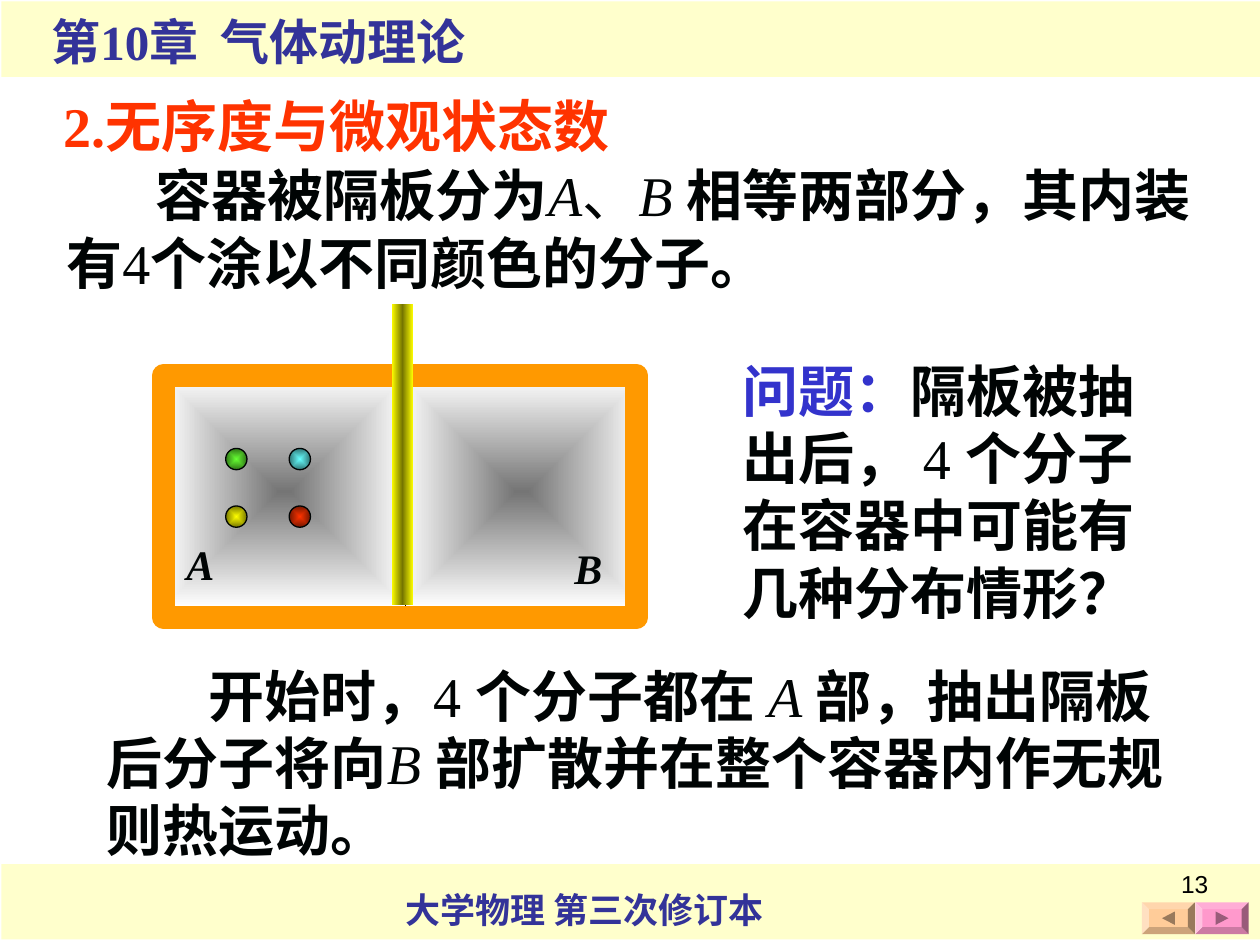
from dataclasses import dataclass
from typing import Optional

from lxml.etree import SubElement
from pptx import Presentation
from pptx.dml.color import RGBColor
from pptx.enum.shapes import MSO_SHAPE as Shape
from pptx.enum.text import MSO_ANCHOR as Anchor, PP_ALIGN as Align
from pptx.oxml.ns import qn
from pptx.util import Cm, Pt

COLORS = {
    "band": "FFFFCC", "navy": "333399", "ink": "000404", "heading": "FF3300",
    "question": "3333CC", "frame": "FF9900", "black": "000000",
    "white": "FFFFFF", "gray": "757575", "plate": "FFFF00", "plate_dark": "757500",
    "back": "FFCC99", "back_dark": "997A5C", "next": "FF99CC", "next_dark": "995C7A",
    "green": "66FF33", "green_dark": "2F7517", "cyan": "66FFFF", "cyan_dark": "2F7575",
    "yellow": "FFFF00", "yellow_dark": "757500", "red": "FF3300", "red_dark": "751700",
}


@dataclass
class Box:
    x: float
    y: float
    w: float
    h: float


@dataclass
class Run:
    text: str
    bold: Optional[bool] = None
    italic: Optional[bool] = None
    color: Optional[str] = None


@dataclass
class Text:
    box: Box
    runs: list[Run]
    size: int = 32
    color: str = "ink"
    bold: bool = True
    italic: bool = False
    indent: float = 0
    align: Align = Align.LEFT
    font: str = "Times New Roman"


@dataclass
class Molecule:
    color: str
    column: int
    row: int


@dataclass
class Button:
    color: str
    x: float
    rotation: int


def rgb(name: str) -> RGBColor:
    return RGBColor.from_string(COLORS[name])


def place(sp, box: Box) -> None:
    sp.left, sp.top, sp.width, sp.height = (Cm(v) for v in (box.x, box.y, box.w, box.h))


def write(sp, t: Text) -> None:
    tf = sp.text_frame
    tf.word_wrap = True
    tf.vertical_anchor = Anchor.TOP
    p = tf.paragraphs[0]
    p.alignment = t.align
    f = p.font
    f.name, f.size, f.bold, f.italic = t.font, Pt(t.size), t.bold, t.italic
    f.color.rgb = rgb(t.color)
    if t.indent:
        p._p.get_or_add_pPr().set("indent", str(Cm(t.indent)))
    for run in t.runs:
        r = p.add_run()
        r.text = run.text
        r.font.bold, r.font.italic = run.bold, run.italic
        if run.color:
            r.font.color.rgb = rgb(run.color)


def add_text(s, t: Text) -> None:
    sp = s.shapes.add_textbox(0, 0, 0, 0)
    place(sp, t.box)
    write(sp, t)


def add_shape(s, kind: Shape, box: Box, fill: Optional[str] = None,
              line: Optional[str] = None, weight: float = 0.75):
    sp = s.shapes.add_shape(kind, 0, 0, 0, 0)
    place(sp, box)
    sp.shadow.inherit = False
    if fill:
        sp.fill.solid()
        sp.fill.fore_color.rgb = rgb(fill)
    else:
        sp.fill.background()
    if line:
        sp.line.color.rgb = rgb(line)
        sp.line.width = Pt(weight)
    else:
        sp.line.fill.background()
    return sp


def shade(sp, colors: list[str], radial: bool = True) -> None:
    sp.fill.gradient()
    grad = sp._element.spPr.find(qn("a:gradFill"))
    for child in list(grad):
        grad.remove(child)
    stops = SubElement(grad, qn("a:gsLst"))
    for i, name in enumerate(colors):
        gs = SubElement(stops, qn("a:gs"), pos=str(100000 * i // (len(colors) - 1)))
        SubElement(gs, qn("a:srgbClr"), val=COLORS[name])
    if radial:
        path = SubElement(grad, qn("a:path"), path="rect")
        SubElement(path, qn("a:fillToRect"), dict.fromkeys("ltrb", "50000"))
    else:
        SubElement(grad, qn("a:lin"), ang="0", scaled="0")


def add_molecule(s, m: Molecule) -> None:
    box = Box(4.55 + 1.28 * m.column, 9.04 + 1.16 * m.row, 0.43, 0.43)
    sp = add_shape(s, Shape.OVAL, box, line="ink")
    shade(sp, [m.color, m.color + "_dark"])


def add_button(s, b: Button) -> None:
    sp = add_shape(s, Shape.BEVEL, Box(b.x, 18.19, 1.07, 0.64), b.color)
    sp.adjustments[0] = 0.22
    arrow = Box(b.x + 0.4, 18.38, 0.27, 0.26)
    add_shape(s, Shape.ISOSCELES_TRIANGLE, arrow, b.color + "_dark").rotation = b.rotation


def add_container(s) -> None:
    for x in (8.08, 3.3):
        shade(add_shape(s, Shape.RECTANGLE, Box(x, 7.59, 4.88, 4.65), line="ink"),
              ["gray", "white"])
    for name, box in (("A", Box(3.51, 10.74, 1.27, 1.27)), ("B", Box(11.33, 10.82, 1.7, 1.27))):
        add_text(s, Text(box, [Run(name)], 24, italic=True))
    add_shape(s, Shape.RECTANGLE, Box(3.3, 7.57, 9.53, 4.88), line="frame", weight=13)
    plate = add_shape(s, Shape.RECTANGLE, Box(7.9, 6.12, 0.43, 6.07))
    shade(plate, ["plate", "plate_dark", "plate"], radial=False)


TITLE = Text(Box(1.02, 1.32, 13.69, 2.03), [Run("2.无序度与微观状态数")], color="heading")
TEXTS = [
    Text(Box(7.92, 17.78, 7.92, 1.12), [Run("大学物理 第三次修订本")], 20, "navy"),
    Text(Box(0.79, 0.1, 9.86, 1.45), [Run("第10章  气体动理论")], 28, "navy"),
    Text(Box(1.09, 3.12, 23.8, 2.97), [
        Run("容器被隔板分为"), Run("A", False, True), Run("、", False),
        Run("B ", False, True), Run("相等两部分，其内装有"), Run("4", False),
        Run("个涂以不同颜色的分子。")], indent=1.8),
    Text(Box(1.9, 13.21, 22.2, 4.32), [
        Run("开始时，"), Run("4 ", False), Run("个分子都在 "), Run("A ", False, True),
        Run("部，抽出隔板后分子将向"), Run("B ", False, True),
        Run("部扩散并在整个容器内作无规则热运动。")], indent=2.06),
    Text(Box(14.71, 7.06, 9.4, 5.69), [
        Run("问题：", color="question"), Run("隔板被抽出后， "), Run("4 ", False),
        Run("个分子在容器中可能有几种分布情形？")]),
    Text(Box(18.69, 17.4, 5.92, 1.32), [Run("13")], 14, "black", False,
         align=Align.RIGHT, font="Arial"),
]
MOLECULES = [Molecule("green", 0, 0), Molecule("yellow", 0, 1),
             Molecule("red", 1, 1), Molecule("cyan", 1, 0)]
BUTTONS = [Button("next", 24.1, 90), Button("back", 23.02, 270)]


def main() -> None:
    """Build the slide on disorder and the number of microstates."""
    prs = Presentation()
    prs.slide_width, prs.slide_height = Cm(25.4), Cm(19.05)
    s = prs.slides.add_slide(prs.slide_layouts[5])
    for y in (17.42, 0.03):
        add_shape(s, Shape.RECTANGLE, Box(0.03, y, 25.37, 1.52), "band")
    title = s.shapes.title
    place(title, TITLE.box)
    write(title, TITLE)
    title.text_frame.paragraphs[0].line_spacing = 1.3
    for b in BUTTONS:
        add_button(s, b)
    add_container(s)
    for m in MOLECULES:
        add_molecule(s, m)
    for t in TEXTS:
        add_text(s, t)
    prs.save("out.pptx")


if __name__ == "__main__":
    main()
